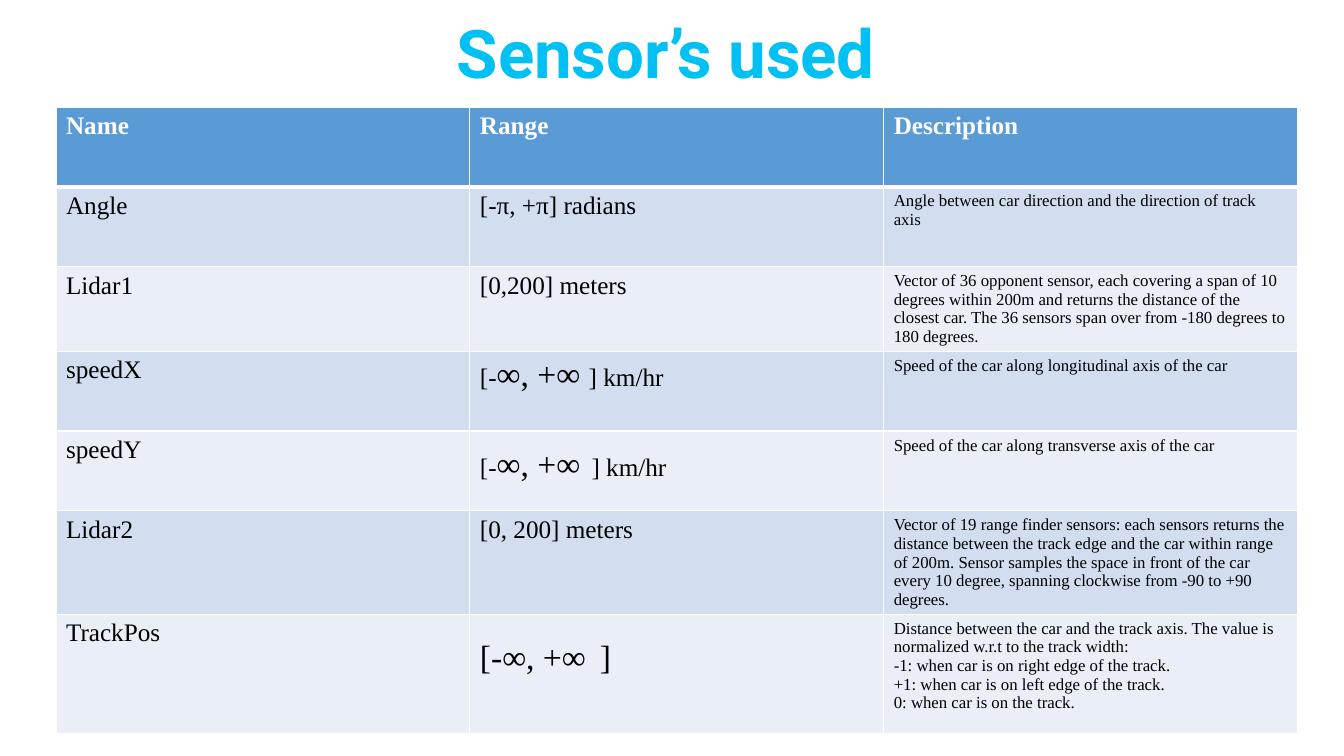
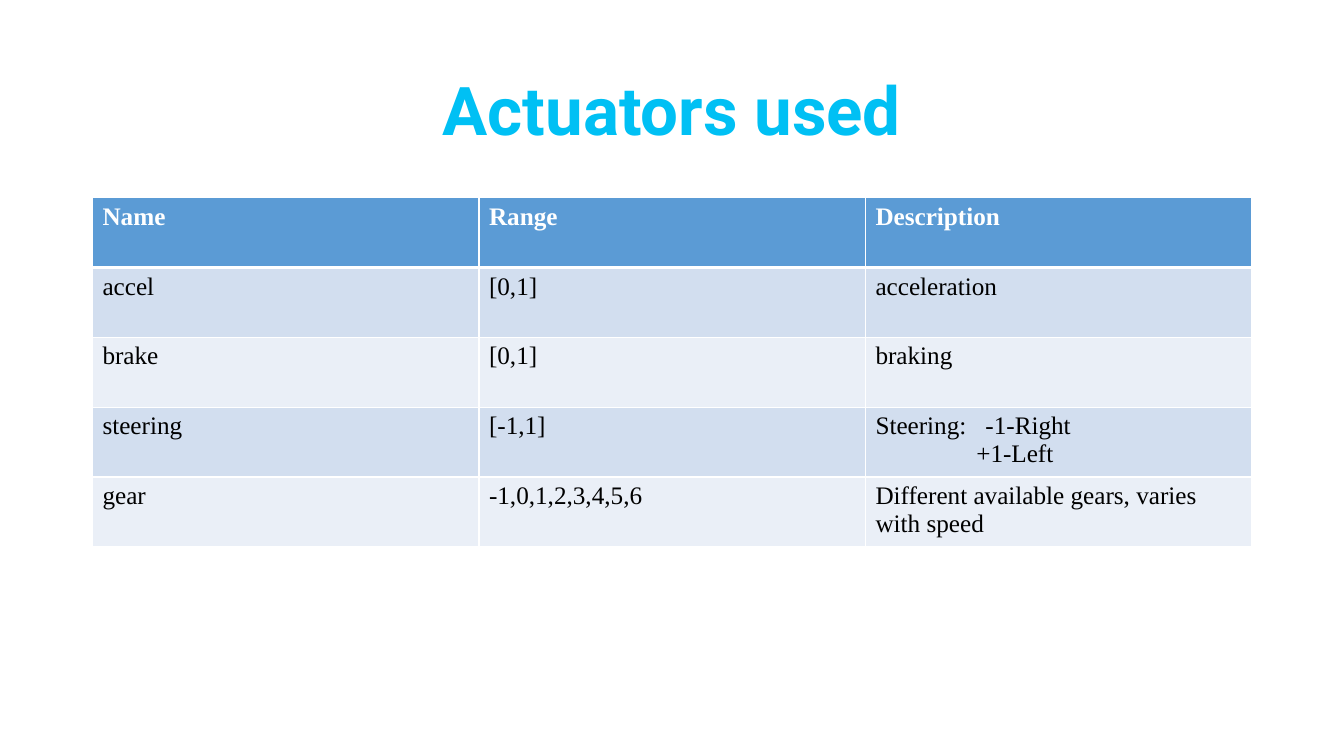
from dataclasses import dataclass

from lxml.etree import SubElement
from pptx import Presentation
from pptx.dml.color import RGBColor
from pptx.enum.text import MSO_ANCHOR, MSO_AUTO_SIZE, PP_ALIGN
from pptx.oxml import parse_xml
from pptx.oxml.ns import nsdecls, qn
from pptx.util import Cm, Pt


@dataclass(frozen=True)
class Theme:
    title_font: str = "Roboto"
    table_font: str = "Times New Roman"
    title_color: str = "00C0F4"
    header_fill: str = "5B9BD5"
    band_fills: tuple = ("D2DEEF", "EAEFF7")
    white: str = "FFFFFF"
    black: str = "000000"
    title_size: int = 48
    cell_size: int = 18
    detail_size: int = 12
    symbol_size: int = 24
    rule: int = 1
    header_rule: int = 3


theme = Theme()


def write(frame, paragraphs, *, size, font=theme.table_font, color=theme.black,
          bold=False, align=PP_ALIGN.LEFT, spacing=None):
    if isinstance(paragraphs, str):
        paragraphs = [paragraphs]
    for index, pieces in enumerate(paragraphs):
        paragraph = frame.add_paragraph() if index else frame.paragraphs[0]
        paragraph.alignment = align
        paragraph.line_spacing = spacing
        if isinstance(pieces, str):
            pieces = [(pieces, size)]
        for text, piece_size in pieces:
            run = paragraph.add_run()
            run.text = text
            run.font.size = Pt(piece_size)
            run.font.name = font
            run.font.bold = bold
            run.font.color.rgb = RGBColor.from_string(color)


def set_borders(cell, widths):
    properties = cell._tc.get_or_add_tcPr()
    for index, (side, width) in enumerate(widths.items()):
        properties.insert(index, parse_xml(
            f'<a:ln{side} {nsdecls("a")} w="{Pt(width)}"><a:solidFill>'
            f'<a:srgbClr val="{theme.white}"/></a:solidFill></a:ln{side}>'))


header = ("Name", "Range", "Description")

sensors = [
    header,
    ("Angle", "[-π, +π] radians",
     "Angle between car direction and the direction of track axis"),
    ("Lidar1", "[0,200] meters",
     "Vector of 36 opponent sensor, each covering a span of 10 degrees within 200m "
     "and returns the distance of the closest car. The 36 sensors span over from "
     "-180 degrees to 180 degrees."),
    ("speedX",
     [[("[-", theme.cell_size), ("∞, +∞ ", theme.symbol_size),
       ("] km/hr", theme.cell_size)]],
     "Speed of the car along longitudinal axis of the car"),
    ("speedY",
     [[("[-", theme.cell_size), ("∞, +∞", theme.symbol_size), (" ", 32),
       ("] km/hr", theme.cell_size)]],
     "Speed of the car along transverse axis of the car"),
    ("Lidar2", "[0, 200] meters",
     "Vector of 19 range finder sensors: each sensors returns the distance between "
     "the track edge and the car within range of 200m. Sensor samples the space in "
     "front of the car every 10 degree, spanning clockwise from -90 to +90 degrees."),
    ("TrackPos",
     [[("[-∞, +∞", theme.symbol_size), (" ", 40), ("]", theme.symbol_size)]],
     ["Distance between the car and the track axis. The value is normalized w.r.t "
      "to the track width:",
      "-1: when car is on right edge of the track.",
      "+1: when car is on left edge of the track.",
      "0: when car is on the track."]),
]

actuators = [
    header,
    ("accel", "[0,1]", "acceleration"),
    ("brake", "[0,1]", "braking"),
    ("steering", "[-1,1]", ["Steering:\t-1-Right", "+1-Left"]),
    ("gear", "-1,0,1,2,3,4,5,6", "Different available gears, varies with speed"),
]

pages = [
    dict(title="Sensor’s used", title_box=(2.18, 0, 29.21, 2.87), rows=sensors,
         corner=(1.41, 2.7), column=10.43, heights=[2.01] * 6 + [3],
         description_size=theme.detail_size),
    dict(title="Actuators used", title_box=(2.33, 1.02, 29.21, 3.68), rows=actuators,
         corner=(2.33, 4.98), column=9.74, heights=[1.76] * 5,
         description_size=theme.cell_size),
]

deck = Presentation()
deck.slide_width, deck.slide_height = Cm(33.87), Cm(19.05)
title_only = deck.slide_layouts[5]

for page in pages:
    slide = deck.slides.add_slide(title_only)
    title = slide.shapes.title
    title.left, title.top, title.width, title.height = map(Cm, page["title_box"])
    title.text_frame.auto_size = MSO_AUTO_SIZE.NONE
    title.text_frame.vertical_anchor = MSO_ANCHOR.MIDDLE
    write(title.text_frame, page["title"], size=theme.title_size, bold=True,
          font=theme.title_font, color=theme.title_color,
          align=PP_ALIGN.CENTER, spacing=0.9)

    left, top = page["corner"]
    table = slide.shapes.add_table(
        len(page["rows"]), len(header), Cm(left), Cm(top),
        Cm(page["column"] * len(header)), Cm(sum(page["heights"]))).table
    table.horz_banding = False
    for column in table.columns:
        column.width = Cm(page["column"])

    for row_index, (row, height) in enumerate(zip(page["rows"], page["heights"])):
        table.rows[row_index].height = Cm(height)
        is_header = row_index == 0
        fill = theme.header_fill if is_header else theme.band_fills[(row_index - 1) % 2]
        for column_index, content in enumerate(row):
            cell = table.cell(row_index, column_index)
            cell.fill.solid()
            cell.fill.fore_color.rgb = RGBColor.from_string(fill)
            set_borders(cell, {
                "L": theme.rule, "R": theme.rule,
                "T": theme.header_rule if row_index == 1 else theme.rule,
                "B": theme.header_rule if is_header else theme.rule})
            is_detail = column_index == 2 and not is_header
            write(cell.text_frame, content, bold=is_header,
                  size=page["description_size"] if is_detail else theme.cell_size,
                  color=theme.white if is_header else theme.black)

right_line, left_line = table.cell(3, 2).text_frame.paragraphs
tab_stops = SubElement(right_line._p.get_or_add_pPr(), qn("a:tabLst"))
SubElement(tab_stops, qn("a:tab"), pos=str(Cm(2.77)), algn="l")
left_line._p.get_or_add_pPr().set("marL", str(Cm(2.54)))

deck.save("out.pptx")
